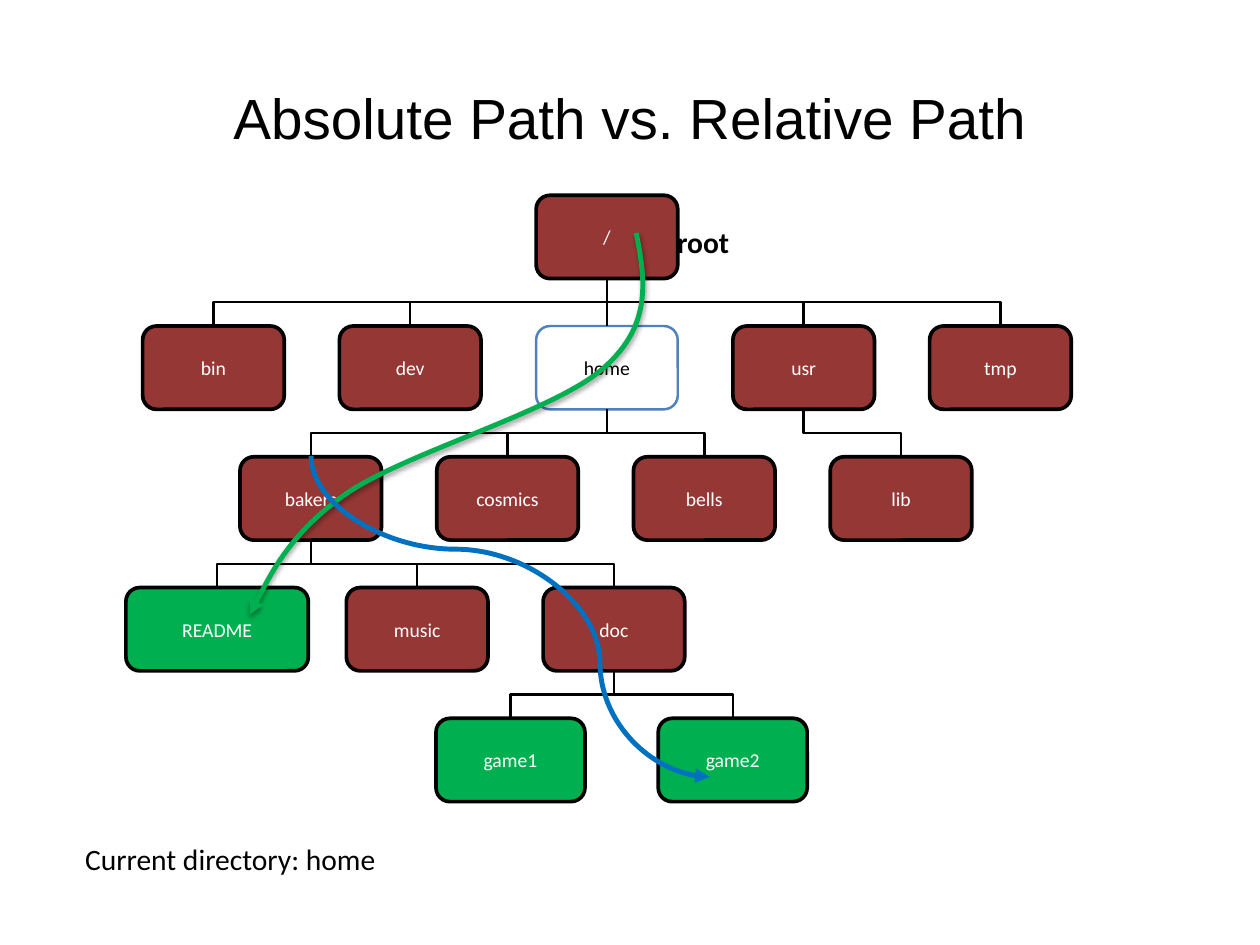
from dataclasses import dataclass

from lxml.etree import SubElement
from pptx import Presentation
from pptx.dml.color import RGBColor
from pptx.enum.shapes import MSO_CONNECTOR, MSO_SHAPE
from pptx.enum.text import MSO_ANCHOR, PP_ALIGN
from pptx.oxml.ns import qn
from pptx.util import Cm, Pt


@dataclass(frozen=True)
class Theme:
    black: str = "000000"
    white: str = "FFFFFF"
    directory: str = "953735"
    file: str = "00B050"
    current_line: str = "4F81BD"
    absolute: str = "00B050"
    relative: str = "0070C0"
    title_font: str = "Arial"
    body_font: str = "Calibri"
    title_size: int = 46
    label_size: int = 24
    node_size: int = 16


THEME = Theme()

# kind: fill, outline, outline width, text colour
STYLES = {
    "directory": (THEME.directory, THEME.black, 3, THEME.white),
    "current": (THEME.white, THEME.current_line, 2, THEME.black),
    "file": (THEME.file, THEME.black, 3, THEME.white),
}

TREE_TOP, ROW_STEP = 5.6, 3.75
NODE_WIDTH, NODE_HEIGHT = 4.06, 2.39
COLUMN_STEP = 5.64
FIRST_COLUMN, SECOND_COLUMN, THIRD_COLUMN = 4.09, 6.88, 9.93

# name, parent, row, left, width, kind
NODES = [
    ("/", None, 0, FIRST_COLUMN + 2 * COLUMN_STEP, NODE_WIDTH, "directory"),
    *((name, "/", 1, FIRST_COLUMN + i * COLUMN_STEP, NODE_WIDTH,
       "current" if name == "home" else "directory")
      for i, name in enumerate(("bin", "dev", "home", "usr", "tmp"))),
    *((name, parent, 2, SECOND_COLUMN + i * COLUMN_STEP, NODE_WIDTH, "directory")
      for i, (name, parent) in enumerate((("bakers", "home"), ("cosmics", "home"),
                                          ("bells", "home"), ("lib", "usr")))),
    ("README", "bakers", 3, 3.61, 5.23, "file"),
    *((name, "bakers", 3, THIRD_COLUMN + i * COLUMN_STEP, NODE_WIDTH, "directory")
      for i, name in enumerate(("music", "doc"))),
    ("game1", "doc", 4, 12.5, 4.27, "file"),
    ("game2", "doc", 4, 18.87, 4.27, "file"),
]

# Each curve: start point, then (control, control, end) for every segment
ABSOLUTE_PATH = (18.24, 6.68), [
    ((18.49, 7.98), (18.72, 9.3), (17.32, 10.54)),
    ((15.95, 11.79), (11.61, 12.98), (9.91, 14.17)),
    ((8.23, 15.34), (7.16, 17.63), (7.16, 17.63)),
]
RELATIVE_PATH = (8.92, 13.08), [
    ((8.92, 14.43), (10.97, 15.75), (13.06, 15.75)),
    ((15.14, 15.75), (17.2, 17.37), (17.2, 19)),
    ((17.2, 20.65), (18.77, 22.28), (20.35, 22.28)),
]


def write(tf, text, size, font=THEME.body_font, color=THEME.black, bold=False,
          align=PP_ALIGN.LEFT, anchor=MSO_ANCHOR.TOP, wrap=True):
    tf.word_wrap = wrap
    tf.vertical_anchor = anchor
    tf.margin_left = tf.margin_right = tf.margin_top = tf.margin_bottom = Cm(0.18)
    p = tf.paragraphs[0]
    p.alignment = align
    r = p.add_run()
    r.text = text
    r.font.name = font
    r.font.size = Pt(size)
    r.font.bold = bold
    r.font.color.rgb = RGBColor.from_string(color)


def set_line(shape, color, width):
    shape.line.color.rgb = RGBColor.from_string(color)
    shape.line.width = Pt(width)


def add_label(s, text, left, top, width, height, **fmt):
    box = s.shapes.add_textbox(Cm(left), Cm(top), Cm(width), Cm(height))
    write(box.text_frame, text, **fmt)


def add_node(s, name, row, left, width, kind):
    fill, line, line_width, color = STYLES[kind]
    sp = s.shapes.add_shape(MSO_SHAPE.ROUNDED_RECTANGLE, Cm(left),
                            Cm(TREE_TOP + row * ROW_STEP), Cm(width), Cm(NODE_HEIGHT))
    sp.shadow.inherit = False
    sp.fill.solid()
    sp.fill.fore_color.rgb = RGBColor.from_string(fill)
    set_line(sp, line, line_width)
    write(sp.text_frame, name, THEME.node_size, color=color,
          align=PP_ALIGN.CENTER, anchor=MSO_ANCHOR.MIDDLE)
    return sp


def add_branch(s, parent, child):
    """Join parent's bottom to child's top; elbows leave downwards."""
    x1, y1 = parent.left + parent.width // 2, parent.top + parent.height
    x2, y2 = child.left + child.width // 2, child.top
    dx, dy = x2 - x1, y2 - y1
    kind = MSO_CONNECTOR.ELBOW if dx else MSO_CONNECTOR.STRAIGHT
    branch = s.shapes.add_connector(kind, x1, y1, x2, y2)
    branch.begin_connect(parent, 2)
    branch.end_connect(child, 0)
    spPr = branch._element.spPr
    if dx:
        branch.width, branch.height = dy, abs(dx)
        branch.left = (x1 + x2 - dy) // 2
        branch.top = (y1 + y2 - abs(dx)) // 2
        spPr.xfrm.set("rot", "5400000" if dx < 0 else "16200000")
        spPr.xfrm.set("flipH", "0" if dx < 0 else "1")
    set_line(branch, THEME.black, 2)
    SubElement(spPr, qn("a:effectLst"))


def add_curved_arrow(s, start, segments, color):
    """Draw a Bezier curve with an arrowhead at its end."""
    builder = s.shapes.build_freeform(Cm(start[0]), Cm(start[1]))
    builder.add_line_segments([(Cm(x), Cm(y)) for *_, (x, y) in segments], close=False)
    sp = builder.convert_to_shape()
    path = next(sp._element.iter(qn("a:path")))
    for straight, points in zip(path.findall(qn("a:lnTo")), segments):
        curve = SubElement(path, qn("a:cubicBezTo"))
        for x, y in points:
            SubElement(curve, qn("a:pt"), x=str(Cm(x) - sp.left), y=str(Cm(y) - sp.top))
        path.replace(straight, curve)
    sp.fill.background()
    sp.shadow.inherit = False
    set_line(sp, color, 4)
    SubElement(sp.line._get_or_add_ln(), qn("a:tailEnd"), type="triangle")
    return sp


def add_shadow(sp):
    effects = sp._element.spPr.find(qn("a:effectLst"))
    shadow = SubElement(effects, qn("a:outerShdw"), blurRad=str(Pt(4)), dist=str(Pt(2)),
                        dir="5400000", rotWithShape="0")
    color = SubElement(shadow, qn("a:srgbClr"), val=THEME.black)
    SubElement(color, qn("a:alpha"), val="38000")


def main():
    prs = Presentation()
    prs.slide_width, prs.slide_height = Cm(36.12), Cm(27.1)
    s = prs.slides.add_slide(prs.slide_layouts[6])

    add_label(s, "Absolute Path vs. Relative Path", 1.8, 1.09, 32.5, 4.52,
              size=THEME.title_size, font=THEME.title_font,
              align=PP_ALIGN.CENTER, anchor=MSO_ANCHOR.MIDDLE)
    add_label(s, "root", 19.23, 6.25, 2.41, 1.35, size=THEME.label_size, bold=True)

    nodes = {name: add_node(s, name, row, left, width, kind)
             for name, _, row, left, width, kind in NODES}
    for name, parent, *_ in NODES:
        if parent:
            add_branch(s, nodes[parent], nodes[name])

    add_shadow(add_curved_arrow(s, *ABSOLUTE_PATH, THEME.absolute))
    add_curved_arrow(s, *RELATIVE_PATH, THEME.relative)
    add_label(s, "Current directory: home", 2.26, 23.95, 9.65, 1.35,
              size=THEME.label_size, wrap=False)
    prs.save("out.pptx")


if __name__ == "__main__":
    main()
